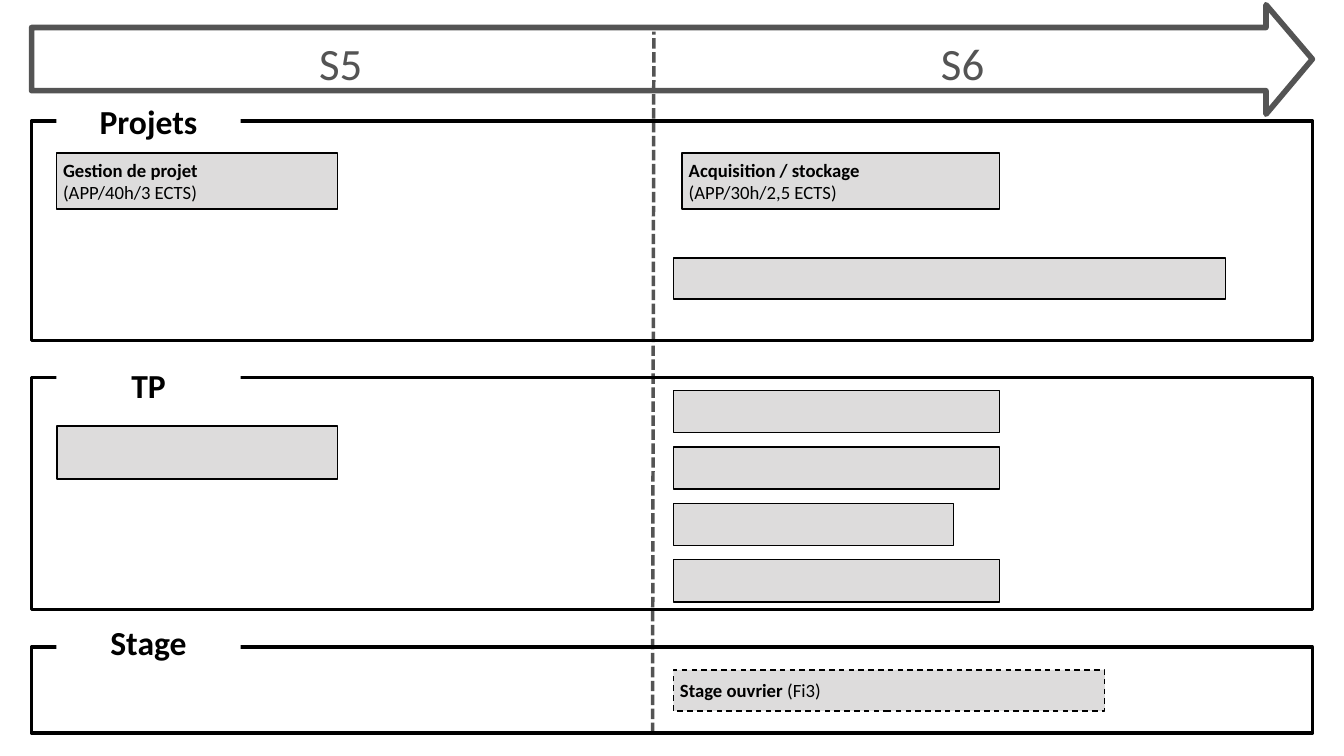
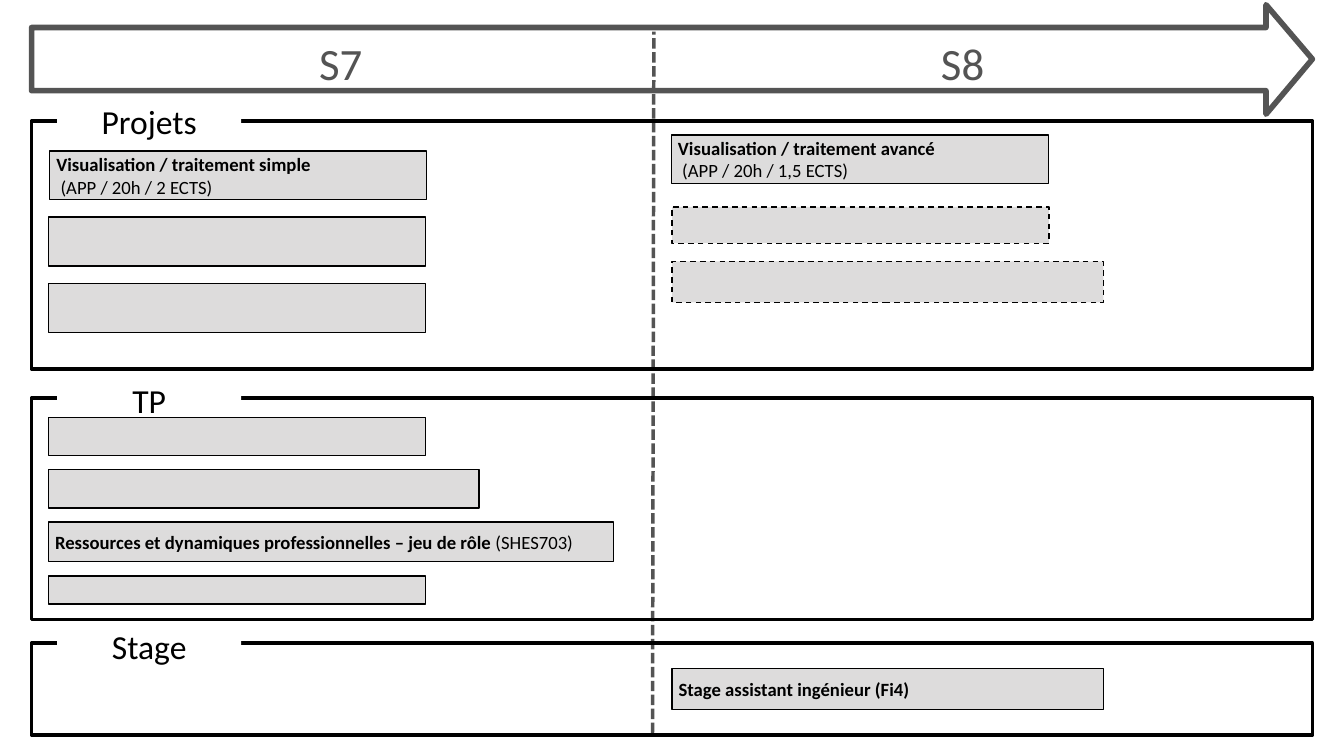
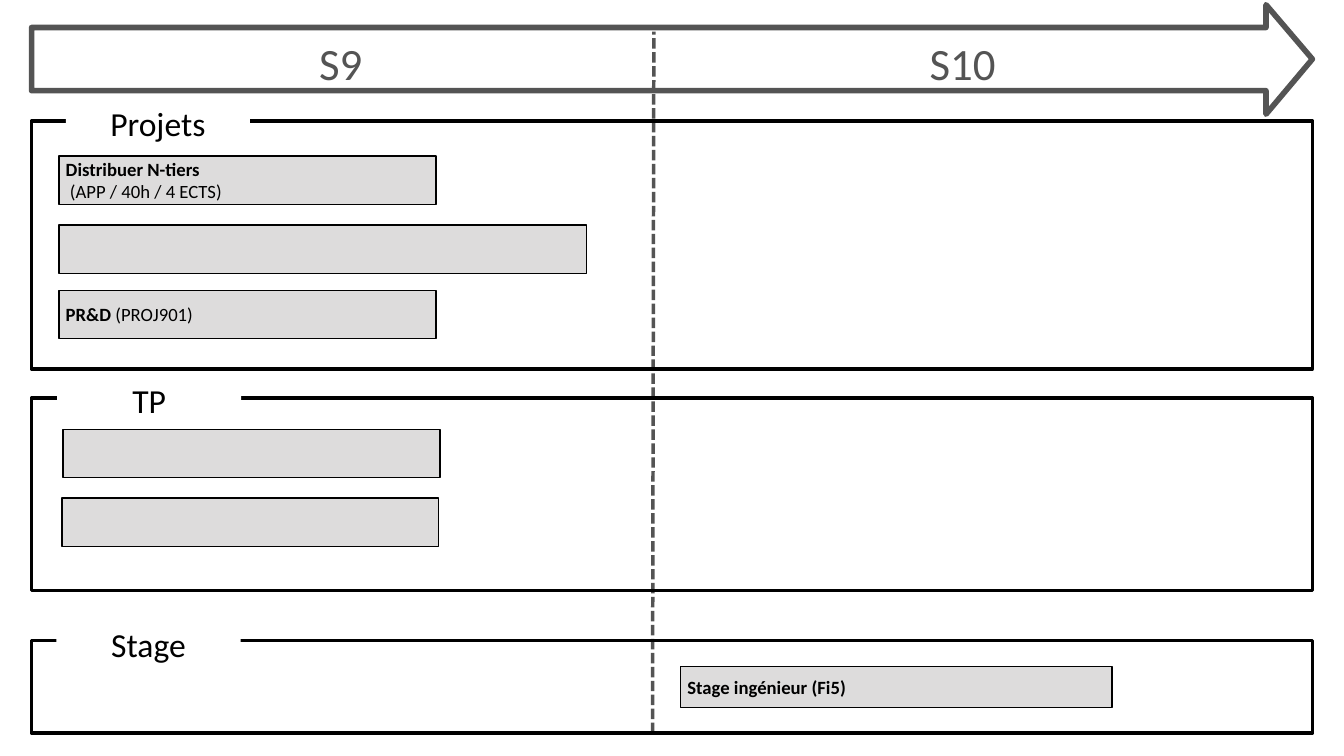
from dataclasses import dataclass
from typing import NamedTuple

from lxml.etree import SubElement
from pptx import Presentation
from pptx.dml.color import RGBColor
from pptx.enum.dml import MSO_LINE
from pptx.enum.shapes import MSO_CONNECTOR, MSO_SHAPE
from pptx.enum.text import MSO_ANCHOR as Anchor, MSO_AUTO_SIZE, PP_ALIGN as Align
from pptx.oxml.ns import qn
from pptx.util import Emu, Pt

PX = 9144  # EMU per px, 100 px to the inch


def px(length: int) -> Emu:
    return Emu(length * PX)


@dataclass(frozen=True)
class Theme:
    font: str = "Calibri"
    ink: RGBColor = RGBColor(0x00, 0x00, 0x00)
    timeline: RGBColor = RGBColor(0x54, 0x54, 0x54)
    paper: RGBColor = RGBColor(0xFF, 0xFF, 0xFF)
    bar: RGBColor = RGBColor(0xDD, 0xDC, 0xDC)
    semester_size: int = 48
    semester_spacing: float = 62.4
    section_size: int = 36
    bar_size: int = 20
    arrow_line: float = 6
    frame_line: float = 3.75
    bar_line: float = 1.5


THEME = Theme()


class Box(NamedTuple):
    left: int
    top: int
    width: int
    height: int


class Run(NamedTuple):
    text: str
    bold: bool = False


class Section(NamedTuple):
    title: str
    top: int
    height: int
    label_left: int
    label_top: int
    anchor: Anchor = Anchor.TOP


class Bar(NamedTuple):
    box: Box
    heading: str = ""
    detail: str = ""
    detail_below: bool = False
    dashed: bool = False


class Year(NamedTuple):
    semesters: tuple[str, str]
    bold_titles: bool
    sections: list[Section]
    bars: list[Bar]


SLIDE_WIDTH, SLIDE_HEIGHT = 2000, 1125
FRAME_LEFT, FRAME_WIDTH = 47, 1906
LABEL_WIDTH, LABEL_HEIGHT = 274, 61
SEMESTER_BOXES = (Box(50, 46, 914, 83), Box(981, 46, 903, 83))
ARROW_POINTS = [(1953, 88), (1884, 7), (1884, 41), (47, 41),
                (47, 135), (1884, 135), (1884, 170)]
DIVIDER = (971, 1091, 973, 47)


def stack(left: int, top: int, pitch: int, height: int, widths: list[int]) -> list[Bar]:
    return [Bar(Box(left, top + row * pitch, width, height))
            for row, width in enumerate(widths)]


YEARS = [
    Year(("S5", "S6"), True, [
        Section("Projets", 180, 327, 84, 149, Anchor.MIDDLE),
        Section("TP", 562, 345, 84, 538),
        Section("Stage", 963, 128, 84, 921),
    ], [
        Bar(Box(84, 228, 418, 83), "Gestion de projet", "(APP/40h/3 ECTS)", True),
        Bar(Box(1015, 228, 472, 83), "Acquisition / stockage", "(APP/30h/2,5 ECTS)", True),
        Bar(Box(1002, 384, 822, 61)),
        Bar(Box(85, 634, 417, 79)),
        *stack(1002, 581, 84, 63, [485, 485, 417, 485]),
        Bar(Box(1002, 997, 642, 61), "Stage ouvrier ", "(Fi3)", dashed=True),
    ]),
    Year(("S7", "S8"), False, [
        Section("Projets", 180, 369, 85, 150, Anchor.MIDDLE),
        Section("TP", 592, 330, 85, 560),
        Section("Stage", 957, 137, 85, 926),
    ], [
        Bar(Box(74, 225, 561, 72), "Visualisation / traitement simple",
            " (APP / 20h / 2 ECTS)", True),
        *stack(72, 323, 99, 73, [561, 561]),
        Bar(Box(999, 201, 561, 72), "Visualisation / traitement avancé",
            " (APP / 20h / 1,5 ECTS)", True),
        Bar(Box(1000, 308, 561, 54), dashed=True),
        Bar(Box(1000, 389, 642, 61), dashed=True),
        *stack(72, 621, 78, 57, [561, 641]),
        Bar(Box(72, 777, 841, 59),
            "Ressources et dynamiques professionnelles – jeu de rôle ", "(SHES703)"),
        Bar(Box(72, 857, 561, 42)),
        Bar(Box(1000, 995, 642, 61), "Stage assistant ingénieur (Fi4)"),
    ]),
    Year(("S9", "S10"), False, [
        Section("Projets", 180, 369, 98, 152, Anchor.MIDDLE),
        Section("TP", 592, 287, 85, 560),
        Section("Stage", 953, 138, 84, 923),
    ], [
        Bar(Box(88, 232, 561, 72), "Distribuer N-tiers", " (APP / 40h / 4 ECTS)", True),
        Bar(Box(88, 335, 785, 72)),
        Bar(Box(88, 432, 561, 72), "PR&D ", "(PROJ901)"),
        Bar(Box(94, 639, 561, 72)),
        Bar(Box(92, 741, 561, 72)),
        Bar(Box(1013, 992, 642, 61), "Stage ingénieur (Fi5)"),
    ]),
]


def write_text(shape, paragraphs: list[list[Run]], *, size: int, color: RGBColor = THEME.ink,
               align: Align = Align.LEFT, anchor: Anchor = Anchor.MIDDLE,
               line_spacing: float | None = None) -> None:
    frame = shape.text_frame
    frame.word_wrap = True
    frame.vertical_anchor = anchor
    for index, runs in enumerate(paragraphs):
        paragraph = frame.add_paragraph() if index else frame.paragraphs[0]
        paragraph.alignment = align
        if line_spacing:
            paragraph.line_spacing = Pt(line_spacing)
        for text, bold in runs:
            run = paragraph.add_run()
            run.text = text
            font = run.font
            font.name, font.size, font.bold = THEME.font, Pt(size), bold
            font.color.rgb = color


def style_shape(shape, *, fill: RGBColor | None = None, line: RGBColor | None = None,
                width: float = 0, dashed: bool = False) -> None:
    shape.shadow.inherit = False
    if fill is None:
        shape.fill.background()
    else:
        shape.fill.solid()
        shape.fill.fore_color.rgb = fill
    if line is None:
        shape.line.fill.background()
    else:
        shape.line.color.rgb = line
        shape.line.width = Pt(width)
    if dashed:
        shape.line.dash_style = MSO_LINE.DASH


def add_rectangle(slide, box: Box, **style):
    shape = slide.shapes.add_shape(MSO_SHAPE.RECTANGLE, *map(px, box))
    style_shape(shape, **style)
    return shape


def add_timeline(slide, semesters: tuple[str, str]) -> None:
    # Arrow
    builder = slide.shapes.build_freeform(*ARROW_POINTS[0], scale=PX)
    builder.add_line_segments(ARROW_POINTS[1:], close=True)
    style_shape(builder.convert_to_shape(), line=THEME.timeline, width=THEME.arrow_line)

    # Divider between the semesters
    divider = slide.shapes.add_connector(MSO_CONNECTOR.STRAIGHT, *map(px, DIVIDER))
    divider.line.color.rgb = THEME.timeline
    divider.line.width = Pt(THEME.frame_line)
    divider.line.dash_style = MSO_LINE.SQUARE_DOT
    SubElement(divider.element.spPr, qn("a:effectLst"))

    # Semester names
    for name, box in zip(semesters, SEMESTER_BOXES):
        label = slide.shapes.add_textbox(*map(px, box))
        frame = label.text_frame
        frame.margin_left = frame.margin_right = frame.margin_top = frame.margin_bottom = 0
        frame.auto_size = MSO_AUTO_SIZE.SHAPE_TO_FIT_TEXT
        write_text(label, [[Run(name)]], size=THEME.semester_size, color=THEME.timeline,
                   align=Align.CENTER, anchor=Anchor.TOP, line_spacing=THEME.semester_spacing)


def add_section(slide, section: Section, bold: bool) -> None:
    add_rectangle(slide, Box(FRAME_LEFT, section.top, FRAME_WIDTH, section.height),
                  line=THEME.ink, width=THEME.frame_line)
    label = add_rectangle(slide, Box(section.label_left, section.label_top,
                                     LABEL_WIDTH, LABEL_HEIGHT), fill=THEME.paper)
    write_text(label, [[Run(section.title, bold)]], size=THEME.section_size,
               align=Align.CENTER, anchor=section.anchor)


def add_bar(slide, bar: Bar) -> None:
    shape = add_rectangle(slide, bar.box, fill=THEME.bar, line=THEME.ink,
                          width=THEME.bar_line, dashed=bar.dashed)
    if not bar.heading:
        return
    heading, detail = Run(bar.heading, True), Run(bar.detail)
    if bar.detail_below:
        paragraphs = [[heading], [detail]]
    else:
        paragraphs = [[heading, detail] if bar.detail else [heading]]
    write_text(shape, paragraphs, size=THEME.bar_size)


def main() -> None:
    presentation = Presentation()
    presentation.slide_width = px(SLIDE_WIDTH)
    presentation.slide_height = px(SLIDE_HEIGHT)
    for year in YEARS:
        slide = presentation.slides.add_slide(presentation.slide_layouts[6])
        add_timeline(slide, year.semesters)
        for section in year.sections:
            add_section(slide, section, year.bold_titles)
        for bar in year.bars:
            add_bar(slide, bar)
    presentation.save("out.pptx")


if __name__ == "__main__":
    main()
